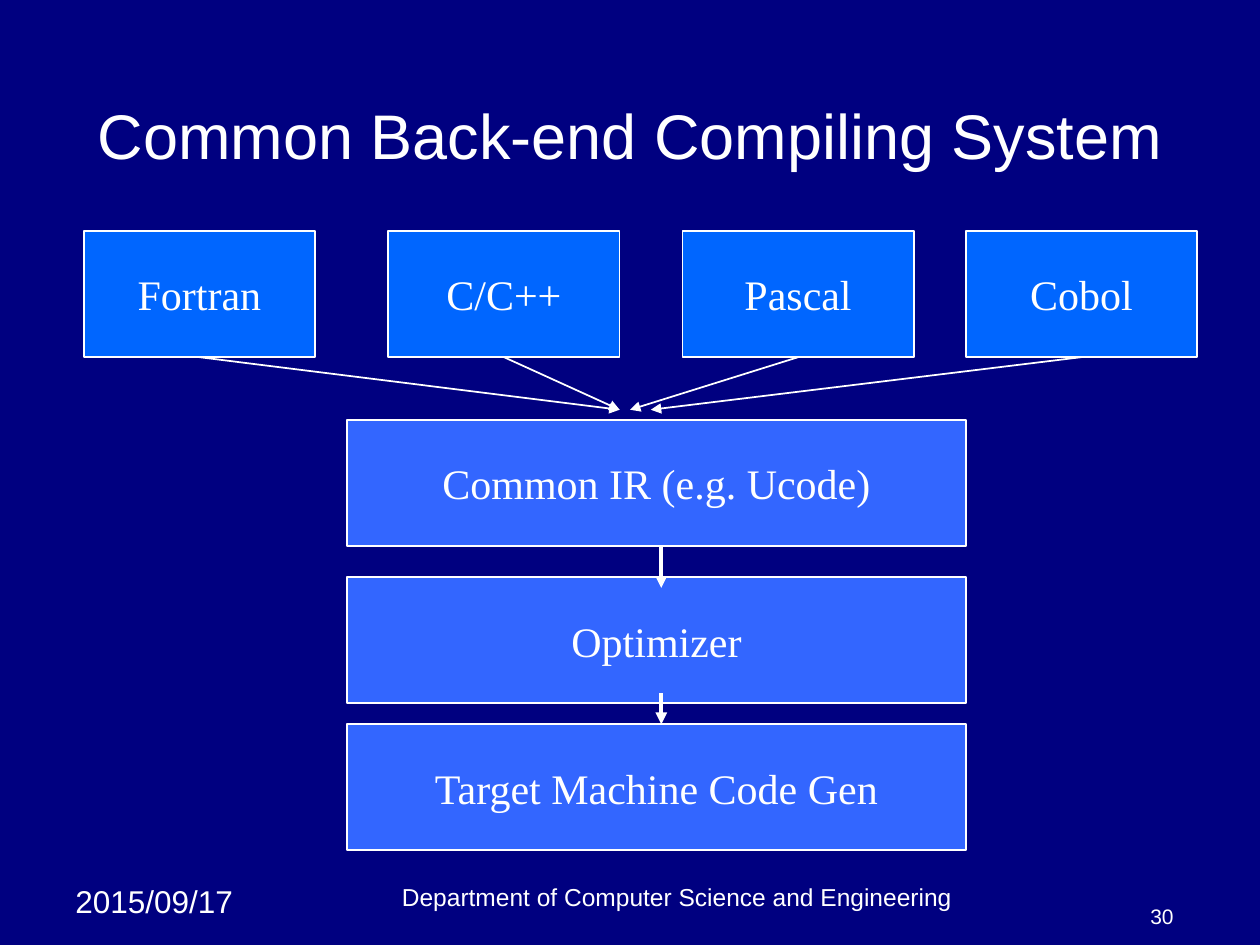
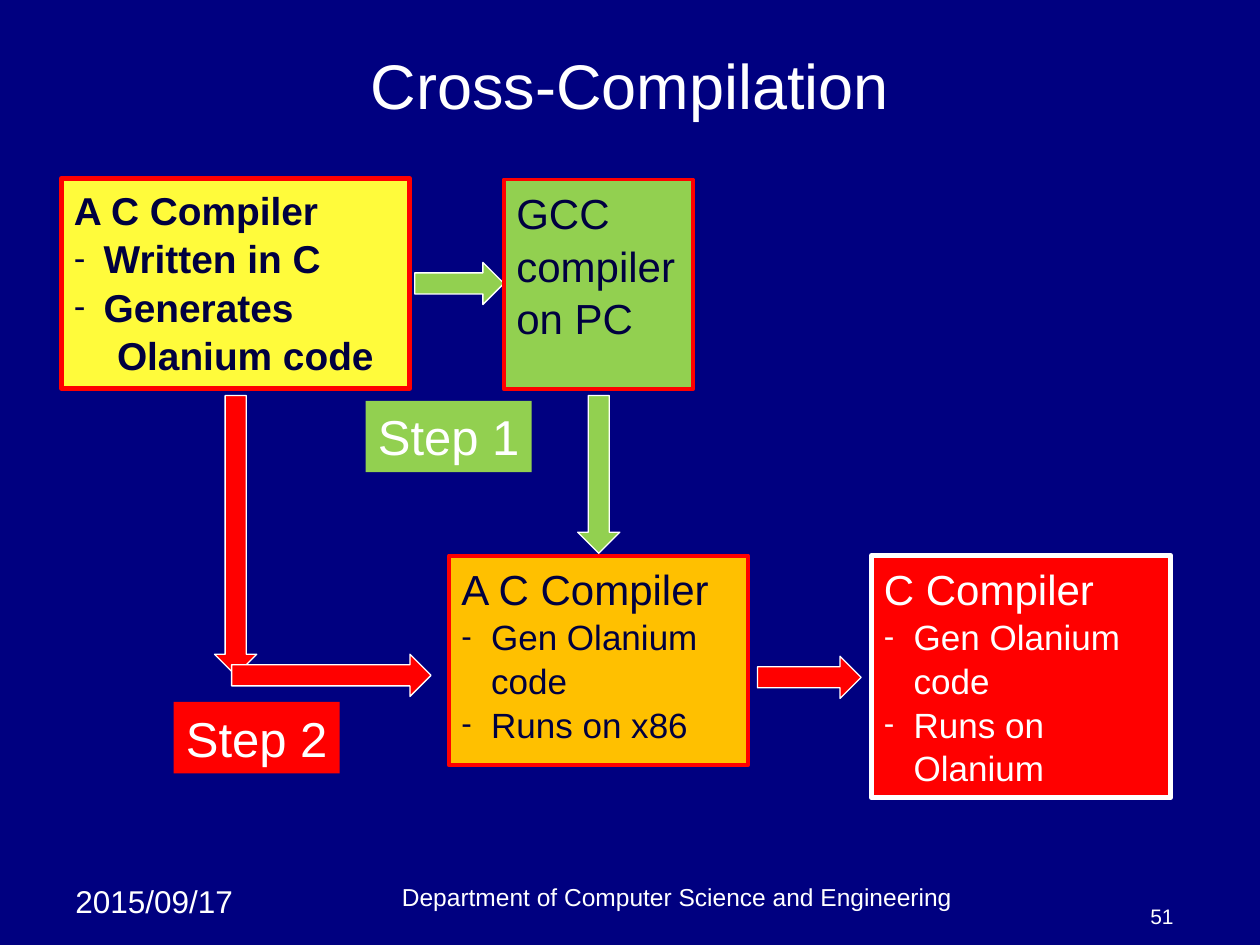
from dataclasses import dataclass

import lxml.etree
import pptx
import pptx.dml.color
import pptx.enum.shapes
import pptx.enum.text
import pptx.oxml.ns
import pptx.shapes.autoshape
import pptx.shapes.connector
import pptx.slide
import pptx.text.text
import pptx.util

Cm = pptx.util.Cm
RGBColor = pptx.dml.color.RGBColor
Align = pptx.enum.text.PP_ALIGN
Anchor = pptx.enum.text.MSO_ANCHOR
qn = pptx.oxml.ns.qn

NAVY = RGBColor(0x00, 0x00, 0x80)
INK = RGBColor(0x00, 0x00, 0x40)
WHITE = RGBColor(0xFF, 0xFF, 0xFF)
AZURE = RGBColor(0x00, 0x66, 0xFF)
BLUE = RGBColor(0x33, 0x66, 0xFF)
YELLOW = RGBColor(0xFF, 0xFB, 0x3B)
GREEN = RGBColor(0x92, 0xD0, 0x50)
ORANGE = RGBColor(0xFF, 0xC0, 0x00)
RED = RGBColor(0xFF, 0x00, 0x00)

SANS = "Arial"
SERIF = "Times New Roman"
DATE = "2015/09/17"
DEPARTMENT = "Department of Computer Science and Engineering"

LANGUAGE_TOP, LANGUAGE_WIDTH, BLOCK_HEIGHT = 4.66, 4.66, 2.54
STAGE_LEFT, STAGE_WIDTH = 6.99, 12.49
ARROW_THICKNESS = 0.85
HANGING = 0.6
LINE_SPACING = 1.04


@dataclass(frozen=True)
class Area:
    """Position and size in centimetres."""

    left: float
    top: float
    width: float
    height: float

    def lengths(self) -> tuple[pptx.util.Length, ...]:
        """Return left, top, width and height as lengths."""
        return Cm(self.left), Cm(self.top), Cm(self.width), Cm(self.height)


@dataclass(frozen=True)
class Line:
    """One paragraph of a box."""

    text: str
    size: float
    bold: bool = False
    bullet: bool = False
    indent: float = 0


@dataclass(frozen=True)
class Style:
    """Font and placement of text."""

    color: RGBColor = WHITE
    font: str = SANS
    align: Align = Align.LEFT
    anchor: Anchor = Anchor.TOP
    wrap: bool = True
    spacing: float = 1.0


@dataclass(frozen=True)
class Box:
    """A filled rectangle with text."""

    area: Area
    fill: RGBColor
    lines: tuple[Line, ...]
    style: Style
    border: RGBColor | None = None
    border_width: float = 0


@dataclass(frozen=True)
class BlockArrow:
    """A thick arrow, turned clockwise by the rotation."""

    left: float
    top: float
    length: float
    fill: RGBColor
    rotation: int = 0


@dataclass(frozen=True)
class Arrow:
    """A thin arrow between two points."""

    start: tuple[float, float]
    end: tuple[float, float]
    width: float


BLOCK_STYLE = Style(font=SERIF, align=Align.CENTER, anchor=Anchor.MIDDLE, wrap=False)
DARK_NOTE = Style(color=INK, spacing=LINE_SPACING)
LIGHT_NOTE = Style(spacing=LINE_SPACING)
STEP_STYLE = Style(wrap=False)

LANGUAGES = (
    ("Fortran", 1.69, 12.49),
    ("C/C++", 7.83, 12.49),
    ("Pascal", 13.76, 12.7),
    ("Cobol", 19.47, 13.12),
)
STAGES = (
    ("Common IR (e.g. Ucode)", 8.47),
    ("Optimizer", 11.64),
    ("Target Machine Code Gen", 14.6),
)
STAGE_ARROWS = (
    Arrow((13.33, 13.97), (13.33, 14.6), 2.25),
    Arrow((13.33, 11.01), (13.33, 11.85), 2.25),
)

SOURCE_COMPILER = Box(
    Area(1.24, 3.6, 7.02, 4.23),
    YELLOW,
    (
        Line("A C Compiler", 22.2, bold=True),
        Line("Written in C", 22.2, bold=True, bullet=True),
        Line("Generates", 22.2, bold=True, bullet=True),
        Line("Olanium code", 22.2, bold=True, indent=0.87),
    ),
    DARK_NOTE, RED, 3,
)
HOST_COMPILER = Box(
    Area(10.16, 3.62, 3.81, 4.23),
    GREEN,
    (Line("GCC compiler", 24), Line("on PC", 24)),
    DARK_NOTE, RED, 2.25,
)
CROSS_COMPILER = Box(
    Area(9.05, 11.2, 6.03, 4.23),
    ORANGE,
    (
        Line("A C Compiler", 24),
        Line("Gen Olanium code", 20, bullet=True),
        Line("Runs on x86", 20, bullet=True),
    ),
    DARK_NOTE, RED, 2.25,
)
NATIVE_COMPILER = Box(
    Area(17.57, 11.2, 6.03, 4.88),
    RED,
    (
        Line("C Compiler", 24),
        Line("Gen Olanium code", 20, bullet=True),
        Line("Runs on Olanium", 20, bullet=True),
    ),
    LIGHT_NOTE, WHITE, 3,
)
STEPS = (
    Box(Area(7.37, 8.08, 3.35, 1.44), GREEN, (Line("Step 1", 28),), STEP_STYLE),
    Box(Area(3.5, 14.15, 3.35, 1.44), RED, (Line("Step 2", 28),), STEP_STYLE),
)
FIRST_STEP_ARROWS = (
    BlockArrow(8.36, 5.29, 1.8, GREEN),
    BlockArrow(10.48, 9.14, 3.18, GREEN, 90),
)
SECOND_STEP_ARROWS = (
    BlockArrow(1.93, 10.37, 5.64, RED, 90),
    BlockArrow(4.67, 13.19, 4.02, RED),
    BlockArrow(15.27, 13.23, 2.09, RED),
)


def indent_paragraph(paragraph: pptx.text.text._Paragraph, line: Line, color: RGBColor) -> None:
    """Set the indent and the dash bullet of a paragraph."""
    properties = paragraph._p.get_or_add_pPr()
    margin = HANGING if line.bullet else line.indent
    properties.set("marL", str(int(Cm(margin))))
    properties.set("indent", str(int(-Cm(margin))) if line.bullet else "0")
    if line.bullet:
        bullet_color = lxml.etree.SubElement(properties, qn("a:buClr"))
        lxml.etree.SubElement(bullet_color, qn("a:srgbClr"), val=str(color))
        lxml.etree.SubElement(properties, qn("a:buSzPct"), val="90000")
        lxml.etree.SubElement(properties, qn("a:buFont"), typeface=SANS)
        lxml.etree.SubElement(properties, qn("a:buChar"), char="-")


def write_lines(shape: pptx.shapes.autoshape.Shape, lines: tuple[Line, ...], style: Style) -> None:
    """Fill a shape with styled paragraphs."""
    text_frame = shape.text_frame
    text_frame.word_wrap = style.wrap
    text_frame.vertical_anchor = style.anchor
    text_frame.text = "\n".join(line.text for line in lines)
    for paragraph, line in zip(text_frame.paragraphs, lines):
        indent_paragraph(paragraph, line, style.color)
        paragraph.alignment = style.align
        paragraph.line_spacing = style.spacing
        for run in paragraph.runs:
            run.font.name = style.font
            run.font.size = pptx.util.Pt(line.size)
            run.font.bold = line.bold
            run.font.color.rgb = style.color


def add_text(slide: pptx.slide.Slide, area: Area, text: str, size: float, style: Style) -> None:
    """Add a one-line text box."""
    write_lines(slide.shapes.add_textbox(*area.lengths()), (Line(text, size),), style)


def add_filled_shape(
    slide: pptx.slide.Slide,
    kind: pptx.enum.shapes.MSO_SHAPE,
    area: Area,
    fill: RGBColor,
    border: RGBColor | None,
    border_width: float,
) -> pptx.shapes.autoshape.Shape:
    """Add a flat preset shape."""
    shape = slide.shapes.add_shape(kind, *area.lengths())
    shape.shadow.inherit = False
    shape.fill.solid()
    shape.fill.fore_color.rgb = fill
    if border is None:
        shape.line.fill.background()
    else:
        shape.line.color.rgb = border
        shape.line.width = pptx.util.Pt(border_width)
    return shape


def add_box(slide: pptx.slide.Slide, box: Box) -> None:
    """Add a rectangle with its text."""
    kind = pptx.enum.shapes.MSO_SHAPE.RECTANGLE
    shape = add_filled_shape(slide, kind, box.area, box.fill, box.border, box.border_width)
    write_lines(shape, box.lines, box.style)


def add_block_arrow(slide: pptx.slide.Slide, arrow: BlockArrow) -> None:
    """Add a thick arrow."""
    area = Area(arrow.left, arrow.top, arrow.length, ARROW_THICKNESS)
    kind = pptx.enum.shapes.MSO_SHAPE.RIGHT_ARROW
    shape = add_filled_shape(slide, kind, area, arrow.fill, WHITE, 0.75)
    shape.rotation = arrow.rotation


def add_arrow(slide: pptx.slide.Slide, arrow: Arrow) -> None:
    """Add a thin white arrow with a triangle head."""
    points = (Cm(value) for value in arrow.start + arrow.end)
    connector = slide.shapes.add_connector(pptx.enum.shapes.MSO_CONNECTOR.STRAIGHT, *points)
    connector.line.color.rgb = WHITE
    connector.line.width = pptx.util.Pt(arrow.width)
    properties = connector._element.spPr
    lxml.etree.SubElement(properties.find(qn("a:ln")), qn("a:tailEnd"), type="triangle")
    lxml.etree.SubElement(properties, qn("a:effectLst"))


def add_slide(presentation: pptx.presentation.Presentation, title: str, title_area: Area, number: int) -> pptx.slide.Slide:
    """Add a navy slide with its footers and title."""
    slide = presentation.slides.add_slide(presentation.slide_layouts[6])
    slide.background.fill.solid()
    slide.background.fill.fore_color.rgb = NAVY
    add_text(slide, Area(1.27, 17.65, 4.02, 1.02), DATE, 18, Style())
    department_style = Style(align=Align.CENTER, anchor=Anchor.BOTTOM)
    add_text(slide, Area(5.08, 17.65, 17.14, 0.85), DEPARTMENT, 14, department_style)
    number_style = Style(align=Align.RIGHT, anchor=Anchor.BOTTOM)
    add_text(slide, Area(22.22, 17.99, 1.69, 0.85), str(number), 12, number_style)
    add_text(slide, title_area, title, 36, Style(align=Align.CENTER, anchor=Anchor.MIDDLE))
    return slide


def add_block(slide: pptx.slide.Slide, area: Area, fill: RGBColor, text: str) -> None:
    """Add a labelled block of the compiling system."""
    add_box(slide, Box(area, fill, (Line(text, 24),), BLOCK_STYLE, WHITE, 1))


def build_back_end(presentation: pptx.presentation.Presentation) -> None:
    """Build the common back-end slide."""
    slide = add_slide(presentation, "Common Back-end Compiling System", Area(1.27, 1.48, 22.86, 2.46), 30)
    for name, left, _ in LANGUAGES:
        add_block(slide, Area(left, LANGUAGE_TOP, LANGUAGE_WIDTH, BLOCK_HEIGHT), AZURE, name)
    for name, top in STAGES:
        add_block(slide, Area(STAGE_LEFT, top, STAGE_WIDTH, BLOCK_HEIGHT), BLUE, name)
    for _, left, target in LANGUAGES:
        start = (left + LANGUAGE_WIDTH / 2, LANGUAGE_TOP + BLOCK_HEIGHT)
        add_arrow(slide, Arrow(start, (target, 8.26), 1))
    for arrow in STAGE_ARROWS:
        add_arrow(slide, arrow)


def build_cross_compilation(presentation: pptx.presentation.Presentation) -> None:
    """Build the cross-compilation slide."""
    slide = add_slide(presentation, "Cross-Compilation", Area(1.27, 0.76, 22.86, 1.9), 51)
    add_box(slide, SOURCE_COMPILER)
    for arrow in FIRST_STEP_ARROWS:
        add_block_arrow(slide, arrow)
    for box in (HOST_COMPILER, CROSS_COMPILER):
        add_box(slide, box)
    for arrow in SECOND_STEP_ARROWS:
        add_block_arrow(slide, arrow)
    for box in (NATIVE_COMPILER, *STEPS):
        add_box(slide, box)


def main() -> None:
    """Build and save the presentation."""
    presentation = pptx.Presentation()
    presentation.slide_width, presentation.slide_height = Cm(25.4), Cm(19.05)
    build_back_end(presentation)
    build_cross_compilation(presentation)
    presentation.save("out.pptx")


if __name__ == "__main__":
    main()
